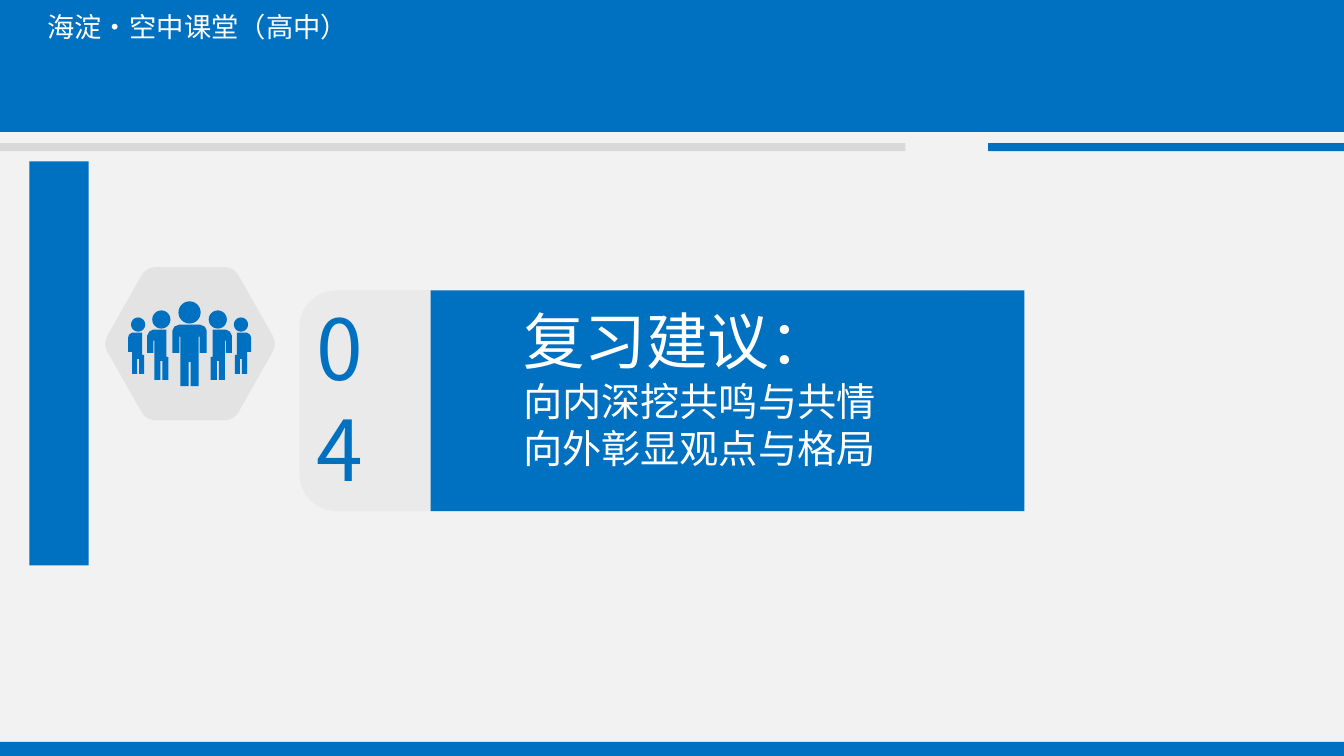
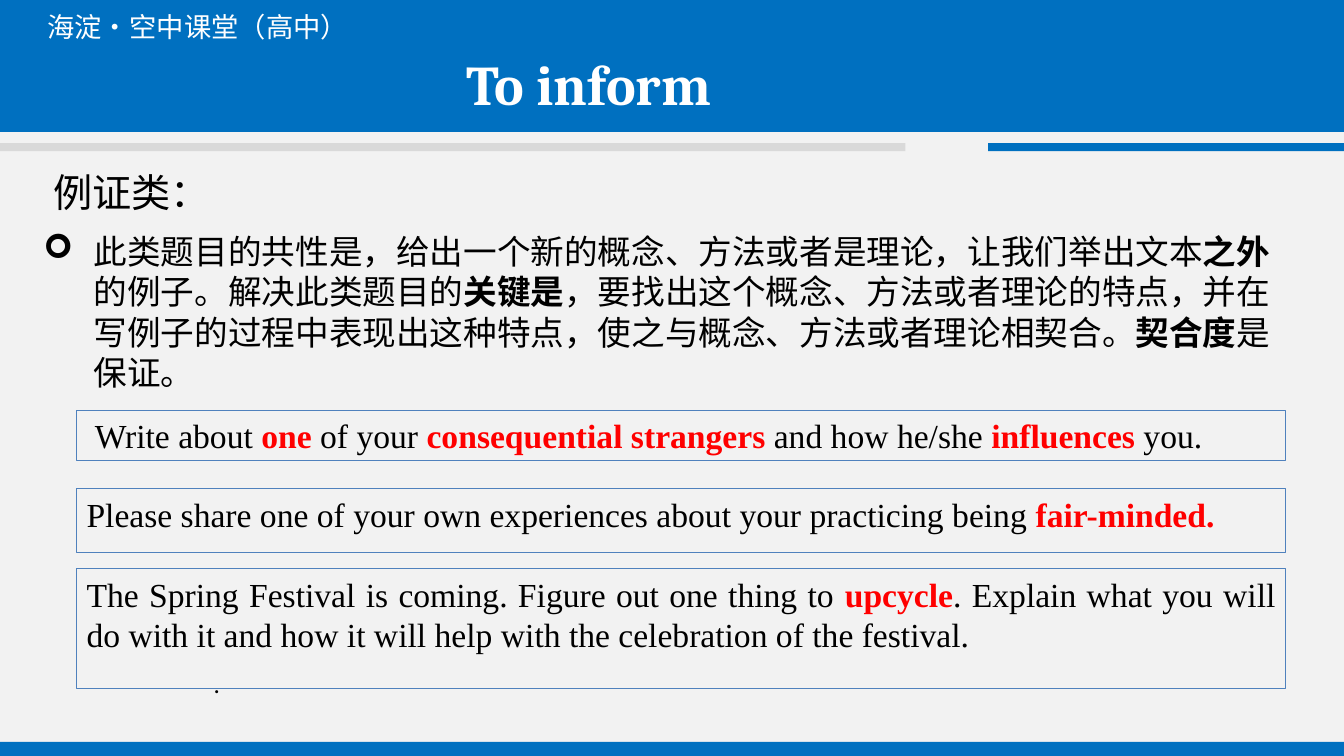
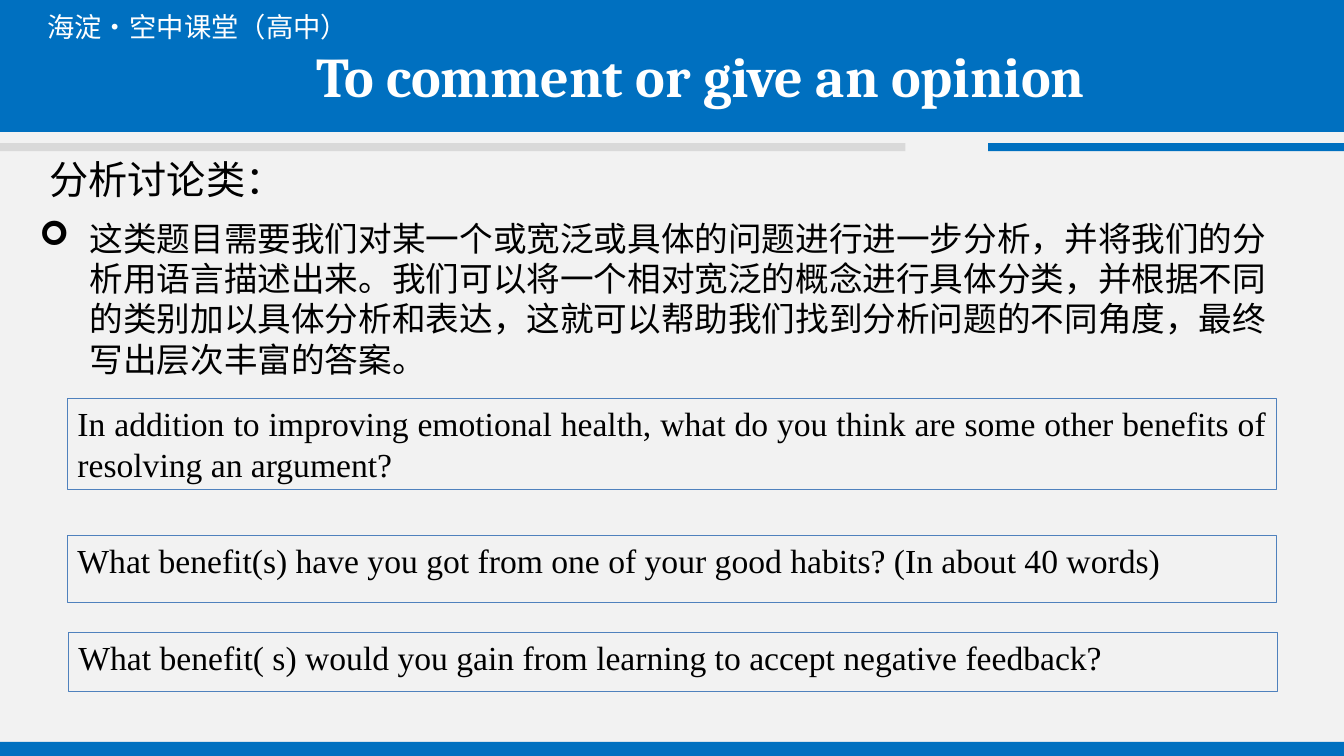
import math

from lxml import etree
from pptx import Presentation
from pptx.dml.color import RGBColor
from pptx.enum import shapes, text
from pptx.oxml import ns
from pptx.util import Inches, Pt

COLORS = {
    "blue": "0070C0", "back": "F2F2F2", "rule": "D9D9D9", "tab": "EAEAEA",
    "white": "FFFFFF", "black": "000000", "red": "FF0000", "border": "4F81BD",
}
CJK, SERIF, HEADING, SANS = "Noto Sans CJK SC", "Times New Roman", "Cambria", "Calibri"
RECT = shapes.MSO_SHAPE.RECTANGLE
MIRROR_X = 1.88


def rgb(name):
    return RGBColor.from_string(COLORS[name])


def add_run(paragraph, words, size, color="black", font=CJK, bold=False):
    run = paragraph.add_run()
    run.text = words
    run.font.size = Pt(size)
    run.font.name = font
    run.font.bold = bold
    run.font.color.rgb = rgb(color)
    east_asian = etree.SubElement(run.font._element, ns.qn("a:ea"))
    east_asian.set("typeface", CJK)


def add_marked_runs(paragraph, marked, size, font, mark_color):
    """Add runs; the parts between asterisks are bold and in mark_color."""
    for i, words in enumerate(marked.split("*")):
        if words:
            marked_part = i % 2 == 1
            add_run(paragraph, words, size, mark_color if marked_part else "black",
                    font, marked_part)


def paint(shape, fill=None, line=None):
    shape.shadow.inherit = False
    if fill:
        shape.fill.solid()
        shape.fill.fore_color.rgb = rgb(fill)
    else:
        shape.fill.background()
    if line:
        shape.line.color.rgb = rgb(line)
        shape.line.width = Pt(0.75)
    else:
        shape.line.fill.background()


def add_panel(slide, box, fill=None, line=None, kind=RECT):
    panel = slide.shapes.add_shape(kind, *map(Inches, box))
    paint(panel, fill, line)
    return panel


def add_text(slide, box, lines, **style):
    """Add a text box; lines holds (words, size) pairs, one per paragraph."""
    frame = slide.shapes.add_textbox(*map(Inches, box)).text_frame
    frame.word_wrap = True
    for i, (words, size) in enumerate(lines):
        paragraph = frame.add_paragraph() if i else frame.paragraphs[0]
        add_run(paragraph, words, size, **style)


def add_outline(slide, contours, fill):
    """Draw closed contours, given in inches, as one freeform."""
    contours = [[(Inches(x), Inches(y)) for x, y in contour] for contour in contours]
    builder = slide.shapes.build_freeform(*contours[0][0])
    for i, contour in enumerate(contours):
        if i:
            builder.move_to(*contour[0])
        builder.add_line_segments(contour[1:], close=True)
    outline = builder.convert_to_shape()
    paint(outline, fill)
    return outline


def mirrored(contour):
    return [(2 * MIRROR_X - x, y) for x, y in contour]


def circle(x, y, radius, steps=32):
    angles = [2 * math.pi * i / steps for i in range(steps)]
    return [(x + radius * math.cos(a), y + radius * math.sin(a)) for a in angles]


def rounded(corners, reach, steps=6):
    """Replace each corner by a quadratic curve that starts reach before it."""
    points = []
    for i, (x, y) in enumerate(corners):
        ends = []
        for nx, ny in (corners[i - 1], corners[(i + 1) % len(corners)]):
            share = reach / math.hypot(nx - x, ny - y)
            ends.append((x + (nx - x) * share, y + (ny - y) * share))
        (ax, ay), (bx, by) = ends
        for t in (step / steps for step in range(steps + 1)):
            points.append(((1 - t) ** 2 * ax + 2 * t * (1 - t) * x + t * t * bx,
                           (1 - t) ** 2 * ay + 2 * t * (1 - t) * y + t * t * by))
    return points


def add_shared_design(prs, slide):
    """Set the background and move bands and course name to the master."""
    master = prs.slide_master
    master.background.fill.solid()
    master.background.fill.fore_color.rgb = rgb("back")
    for box, fill in (
        ((0, 7.36, 13.33, 0.17), "blue"),
        ((0, 0, 13.33, 1.31), "blue"),
        ((0, 1.42, 8.98, 0.08), "rule"),
        ((9.8, 1.42, 3.53, 0.08), "blue"),
    ):
        add_panel(slide, box, fill)
    add_text(slide, (0.37, 0.05, 6.46, 0.49), [("海淀·空中课堂（高中）", 19.5)], color="white")
    for position, part in enumerate(list(slide.shapes), start=2):
        master.shapes.element.insert(position, part.element)


def add_people_icon(slide):
    hexagon = [(1.45, 2.65), (2.32, 2.65), (2.75, 3.41),
               (2.32, 4.17), (1.45, 4.17), (1.02, 3.41)]
    badge = add_outline(slide, [rounded(hexagon, 0.1)], "rule")
    color = badge.fill._xPr.find(".//" + ns.qn("a:srgbClr"))
    etree.SubElement(color, ns.qn("a:alpha")).set("val", "56000")

    outer = [(1.43, 3.52), (1.43, 3.71), (1.38, 3.71), (1.38, 3.56), (1.36, 3.56),
             (1.36, 3.71), (1.31, 3.71), (1.31, 3.39), (1.31, 3.49), (1.27, 3.49),
             (1.27, 3.35), (1.28, 3.32), (1.31, 3.3), (1.41, 3.3), (1.41, 3.52)]
    middle = [(1.67, 3.54), (1.67, 3.77), (1.61, 3.77), (1.61, 3.58), (1.59, 3.58),
              (1.59, 3.77), (1.53, 3.77), (1.53, 3.38), (1.52, 3.38), (1.52, 3.5),
              (1.46, 3.5), (1.46, 3.33), (1.48, 3.29), (1.52, 3.27), (1.65, 3.27),
              (1.65, 3.54)]
    leader_half = [(1.87, 3.59), (1.87, 3.83), (1.79, 3.83), (1.79, 3.34), (1.78, 3.34),
                   (1.78, 3.5), (1.71, 3.5), (1.71, 3.28), (1.73, 3.24), (1.78, 3.22)]
    side = [outer, circle(1.37, 3.22, 0.07), middle, circle(1.6, 3.17, 0.09)]
    leader = leader_half + mirrored(leader_half)[::-1]
    people = side + [mirrored(part) for part in side] + [leader, circle(MIRROR_X, 3.1, 0.11)]
    add_outline(slide, people, "blue")


def add_section(slide):
    add_panel(slide, (2.97, 2.88, 6.96, 2.19), "tab", kind=shapes.MSO_SHAPE.ROUNDED_RECTANGLE)
    add_panel(slide, (4.27, 2.88, 5.89, 2.19), "blue")
    add_text(slide, (5.09, 2.96, 6.4, 1.78),
             [("复习建议：", 44), ("向内深挖共鸣与共情", 28), ("向外彰显观点与格局", 28)],
             color="white")
    add_text(slide, (3.04, 2.89, 1.03, 1.11), [("04", 60)], color="blue")
    add_panel(slide, (0.29, 1.6, 0.59, 4.01), "blue")
    add_people_icon(slide)


def add_topic(slide, left, top, topic, advice):
    title, body = slide.placeholders
    for holder, y, height in ((title, top, 0.77), (body, top + 0.72, 4.66)):
        holder.left, holder.top = Inches(left), Inches(y)
        holder.width, holder.height = Inches(12.67), Inches(height)
        holder.text_frame.auto_size = text.MSO_AUTO_SIZE.NONE
        holder.text_frame.paragraphs[0].alignment = text.PP_ALIGN.LEFT
    title.text_frame.margin_left = Inches(0.2)
    title.text_frame.vertical_anchor = text.MSO_ANCHOR.MIDDLE
    add_run(title.text_frame.paragraphs[0], topic, 28, font=SERIF)

    paragraph = body.text_frame.paragraphs[0]
    properties = paragraph._p.get_or_add_pPr()
    properties.set("marL", str(Inches(0.5)))
    properties.set("indent", str(-Inches(0.5)))
    etree.SubElement(properties, ns.qn("a:buFont")).set("typeface", "Wingdings")
    etree.SubElement(properties, ns.qn("a:buChar")).set("char", "➢")
    paragraph.space_before = Pt(0)
    add_marked_runs(paragraph, advice, 24, CJK, "black")


def add_prompt(slide, left, top, height, marked, indent=0.1):
    prompt = add_panel(slide, (left, top, 11.99, height), line="border")
    frame = prompt.text_frame
    frame.word_wrap = True
    frame.margin_left = Inches(indent)
    frame.vertical_anchor = text.MSO_ANCHOR.TOP
    paragraph = frame.paragraphs[0]
    paragraph.alignment = text.PP_ALIGN.JUSTIFY
    add_marked_runs(paragraph, marked, 24, SERIF, "red")


def add_heading(slide, left, top, words):
    add_text(slide, (left, top, 8.2, 0.77), [(words, 40)],
             color="white", font=HEADING, bold=True)


def main():
    prs = Presentation()
    prs.slide_width, prs.slide_height = Inches(13.33), Inches(7.5)
    content_layout, blank_layout = prs.slide_layouts[1], prs.slide_layouts[6]

    section = prs.slides.add_slide(blank_layout)
    add_shared_design(prs, section)
    add_section(section)

    inform = prs.slides.add_slide(content_layout)
    add_topic(inform, 0.33, 1.52, "例证类：",
              "此类题目的共性是，给出一个新的概念、方法或者是理论，让我们举出文本*之外*的例子。"
              "解决此类题目的*关键是*，要找出这个概念、方法或者理论的特点，并在写例子的过程中"
              "表现出这种特点，使之与概念、方法或者理论相契合。*契合度*是保证。")
    add_prompt(inform, 0.76, 4.07, 0.5,
               "Write about *one* of your *consequential strangers* and how he/she "
               "*influences* you.", indent=0.18)
    add_prompt(inform, 0.76, 4.85, 0.63,
               "Please share one of your own experiences about your practicing being "
               "*fair-minded.*")
    add_text(inform, (2.02, 6.58, 6.67, 0.4), [(".", 18)], font=SANS)
    add_prompt(inform, 0.76, 5.64, 1.19,
               "The Spring Festival is coming. Figure out one thing to *upcycle*. Explain "
               "what you will do with it and how it will help with the celebration of the "
               "festival.")
    add_heading(inform, 4.53, 0.44, "To inform")

    comment = prs.slides.add_slide(content_layout)
    add_topic(comment, 0.29, 1.39, "分析讨论类：",
              "这类题目需要我们对某一个或宽泛或具体的问题进行进一步分析，并将我们的分析用语言"
              "描述出来。我们可以将一个相对宽泛的概念进行具体分类，并根据不同的类别加以具体分析"
              "和表达，这就可以帮助我们找到分析问题的不同角度，最终写出层次丰富的答案。")
    add_prompt(comment, 0.67, 3.95, 0.91,
               "In addition to improving emotional health, what do you think are some other "
               "benefits of resolving an argument?")
    add_prompt(comment, 0.67, 5.31, 0.67,
               "What benefit(s) have you got from one of your good habits? (In about 40 words)")
    add_prompt(comment, 0.68, 6.27, 0.59,
               "What benefit( s) would you gain from learning to accept negative feedback?")
    add_heading(comment, 3.04, 0.36, "To comment or give an opinion")

    prs.save("out.pptx")


if __name__ == "__main__":
    main()
